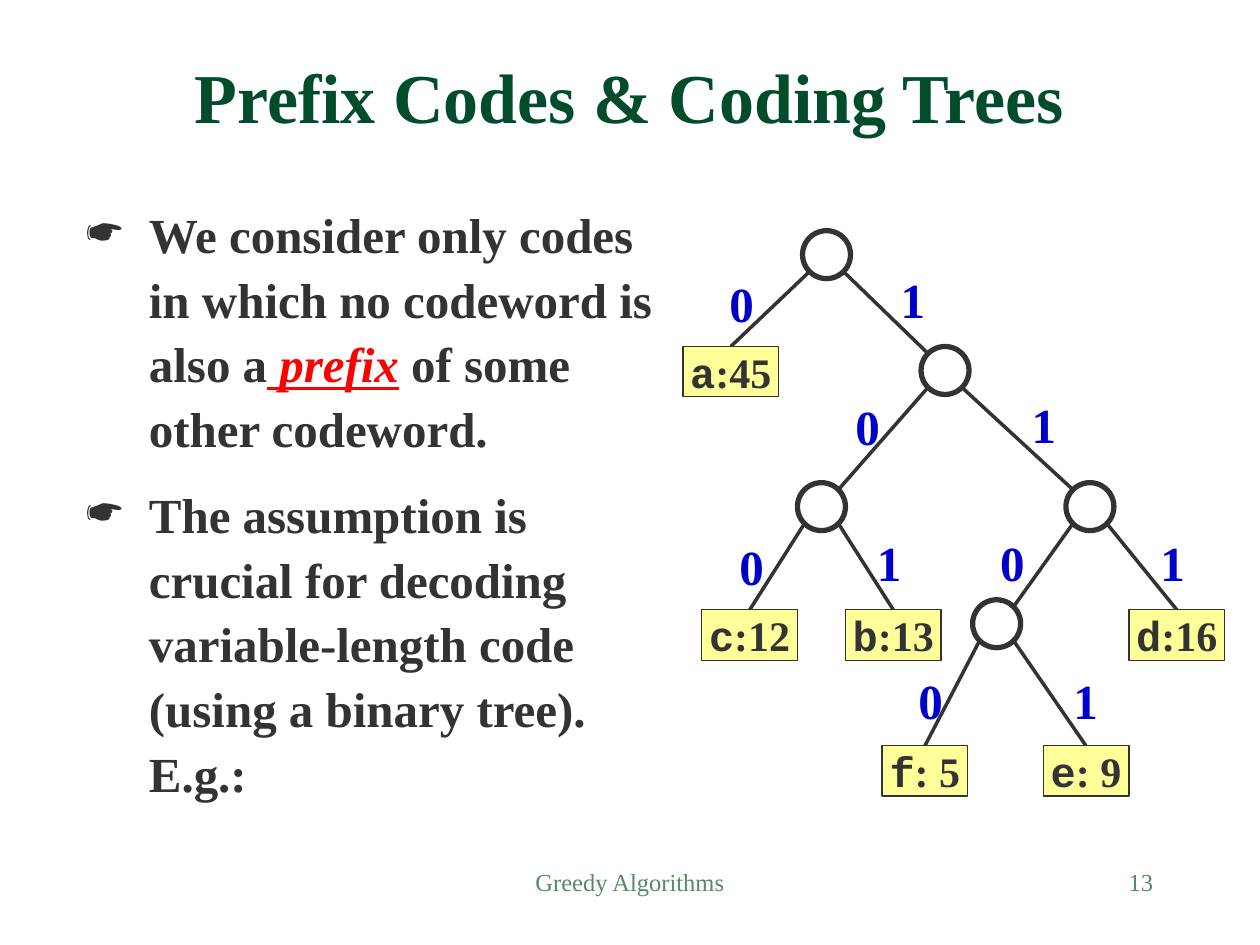
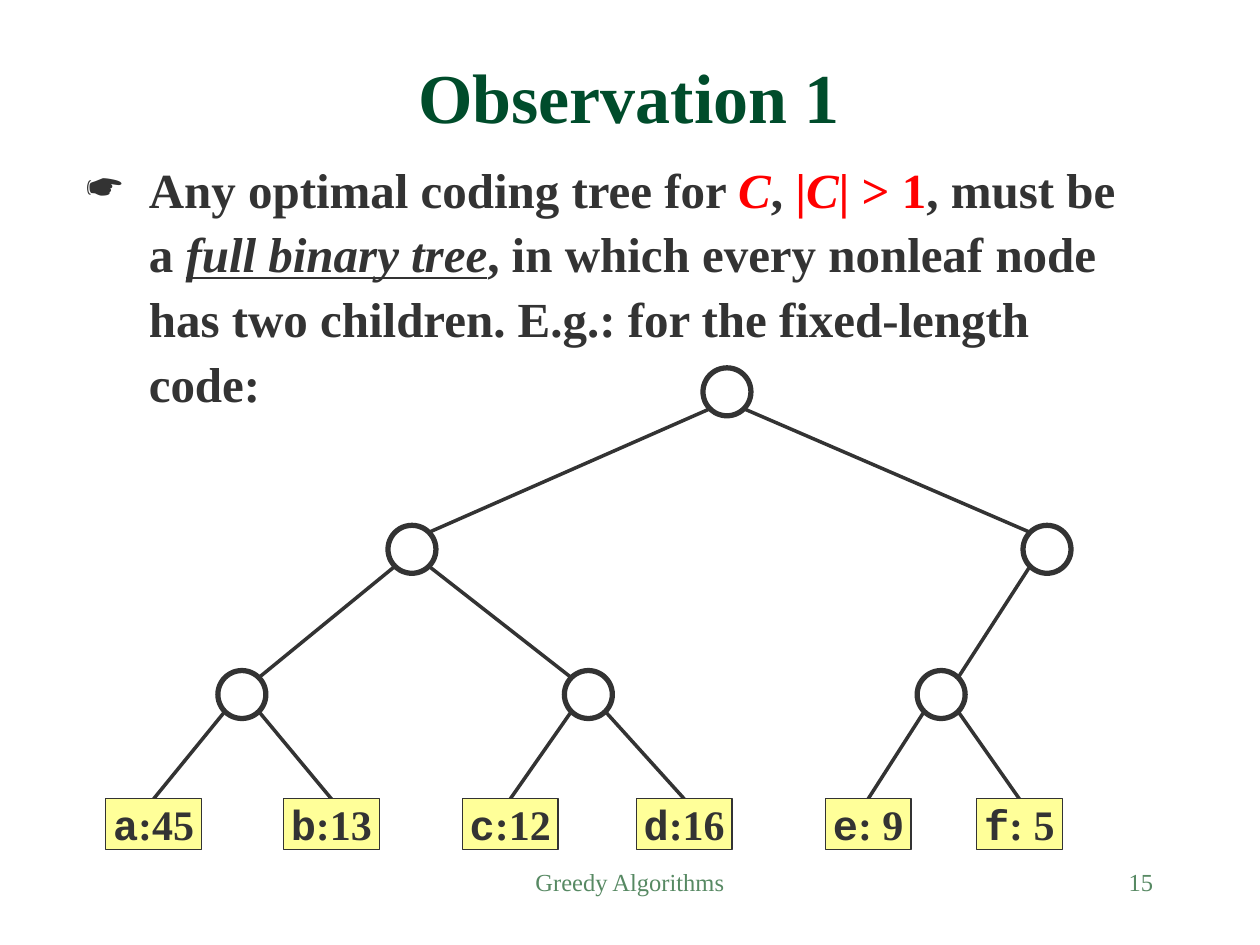
from dataclasses import dataclass

from lxml import etree
from pptx import Presentation
from pptx.dml.color import RGBColor
from pptx.enum.shapes import MSO_CONNECTOR, MSO_SHAPE
from pptx.enum.text import MSO_ANCHOR, PP_ALIGN
from pptx.oxml.ns import qn
from pptx.util import Pt

RECT, OVAL = MSO_SHAPE.RECTANGLE, MSO_SHAPE.OVAL
LINE = MSO_CONNECTOR.STRAIGHT
TOP, MID = MSO_ANCHOR.TOP, MSO_ANCHOR.MIDDLE
LEFT, CENTER, RIGHT = PP_ALIGN.LEFT, PP_ALIGN.CENTER, PP_ALIGN.RIGHT


@dataclass(frozen=True)
class Theme:
    ink: str = "333333"
    head: str = "004C2B"
    foot: str = "578963"
    red: str = "FF0000"
    blue: str = "0000CC"
    leaf: str = "FFFF99"
    paper: str = "FFFFFF"
    serif: str = "Times New Roman"
    mono: str = "Courier New"
    title: int = 40
    text: int = 28
    code: int = 24
    small: int = 14


@dataclass(frozen=True)
class Node:
    x: float
    y: float
    text: str = ""
    kids: tuple = ()
    bit: tuple = ()


T = Theme()
RING = 27.4
DIAG = RING / 2 * 0.5 ** 0.5
LEAF_W, SLIM_W, LEAF_H = 54.7, 49, 28.8
BIT_W, BIT_H = 28, 41
WIDE = (7.2, 3.6)
SLIM = (4.3, 0)

PLAIN = {}
RED = {"color": T.red}
TERM = {"color": T.red, "italic": True}
STRESS = {"italic": True, "underline": True}


def put(item, values):
    for name, value in values.items():
        setattr(item, name, value)


def style(font, size, color=T.ink, name=T.serif, bold=True, **more):
    put(font, {"size": Pt(size), "name": name, "bold": bold, **more})
    font.color.rgb = RGBColor.from_string(color)


def frame(shape, pad, wrap=True, anchor=TOP):
    side, edge = map(Pt, pad)
    text = shape.text_frame
    put(text, {
        "margin_left": side, "margin_right": side,
        "margin_top": edge, "margin_bottom": edge,
        "word_wrap": wrap, "vertical_anchor": anchor,
    })
    return text


def write(para, runs, size, align=LEFT, **base):
    para.alignment = align
    for words, look in runs:
        run = para.add_run()
        run.text = words
        style(run.font, size, **{**base, **look})


def label(slide, box, words, size, align, wrap=True, **look):
    shape = slide.shapes.add_textbox(*map(Pt, box))
    para = frame(shape, WIDE, wrap).paragraphs[0]
    write(para, [(words, PLAIN)], size, align, **look)


def solid(slide, kind, box, fill, width):
    shape = slide.shapes.add_shape(kind, *map(Pt, box))
    shape.shadow.inherit = False
    shape.fill.solid()
    shape.fill.fore_color.rgb = RGBColor.from_string(fill)
    shape.line.color.rgb = RGBColor.from_string(T.ink)
    shape.line.width = Pt(width)
    return shape


def link(slide, start, end):
    line = slide.shapes.add_connector(LINE, *map(Pt, start + end))
    line.line.color.rgb = RGBColor.from_string(T.ink)
    line.line.width = Pt(2)
    etree.SubElement(line._element.spPr, qn("a:effectLst"))


def bullet(para):
    props = para._p.get_or_add_pPr()
    props.set("marL", str(Pt(36)))
    props.set("indent", str(Pt(-36)))
    color = etree.SubElement(props, qn("a:buClr"))
    etree.SubElement(color, qn("a:srgbClr"), val=T.ink)
    etree.SubElement(props, qn("a:buChar"), char="☛")


def body(slide, box, items):
    shape = slide.shapes.add_textbox(*map(Pt, box))
    text = frame(shape, WIDE)
    for rank, runs in enumerate(items):
        para = text.add_paragraph() if rank else text.paragraphs[0]
        bullet(para)
        put(para, {"line_spacing": 1.1, "space_before": Pt(12.2 if rank else 0)})
        write(para, runs, T.text)


def leaf(slide, x, y, words):
    width = SLIM_W if " " in words else LEAF_W
    box = (x - width / 2, y, width, LEAF_H)
    shape = solid(slide, RECT, box, T.leaf, 0.75)
    para = frame(shape, SLIM, False).paragraphs[0]
    runs = [(words[0], {"name": T.mono}), (words[1:], PLAIN)]
    write(para, runs, T.code, CENTER)


def tree(slide, origin, node):
    left, top = origin
    x, y = left + node.x, top + node.y
    if node.text:
        leaf(slide, x, y, node.text)
        return
    solid(slide, OVAL, (x - RING / 2, y, RING, RING), T.paper, 3)
    for digit, kid in enumerate(node.kids):
        side = DIAG if digit else -DIAG
        end = (left + kid.x, top + kid.y)
        if not kid.text:
            end = (end[0] - side, end[1] + RING / 2 - DIAG)
        link(slide, (x + side, y + RING / 2 + DIAG), end)
        tree(slide, origin, kid)
        if kid.bit:
            box = (left + kid.bit[0] - BIT_W / 2, top + kid.bit[1], BIT_W, BIT_H)
            label(slide, box, str(digit), T.text, CENTER, False, color=T.blue)


def page(deck, title, number):
    slide = deck.slides.add_slide(deck.slide_layouts[5])
    head = slide.shapes.title
    put(head, dict(zip(("left", "top", "width", "height"),
                       map(Pt, (30, 6, 659, 73.4)))))
    para = frame(head, WIDE, anchor=MID).paragraphs[0]
    para.line_spacing = 1.5
    write(para, [(title, PLAIN)], T.title, CENTER, color=T.head)
    look = {"color": T.foot, "bold": False}
    label(slide, (246, 492, 228, 36), "Greedy Algorithms", T.small, CENTER, **look)
    label(slide, (516, 492, 150, 36), number, T.small, RIGHT, **look)
    return slide


def prefix(deck):
    slide = page(deck, "Prefix Codes & Coding Trees", "13")
    body(slide, (42, 110, 348, 352), [
        [("We consider only codes in which no codeword is also a", PLAIN),
         (" prefix", {**TERM, **STRESS}),
         (" of some other codeword.", PLAIN)],
        [("The assumption is crucial for decoding variable-length code "
          "(using a binary tree). E.g.:", PLAIN)],
    ])
    low = Node(179.5, 210.9, bit=(188.5, 169.2), kids=(
        Node(138.5, 294.4, "f: 5", bit=(141.7, 247.6)),
        Node(230.6, 294.4, "e: 9", bit=(230.3, 247.6))))
    near = Node(79.4, 144, bit=(105.7, 91.4), kids=(
        Node(38.4, 216.7, "c:12", bit=(39.5, 171.3)),
        Node(120.5, 216.7, "b:13", bit=(118, 169.2))))
    far = Node(232.8, 144, bit=(206.5, 90), kids=(
        low, Node(282.5, 216.7, "d:16", bit=(280, 169.2))))
    root = Node(82.3, 0, kids=(
        Node(27.6, 66.2, "a:45", bit=(33.7, 20.8)),
        Node(150, 66.2, bit=(131.6, 18.7), kids=(near, far))))
    tree(slide, (390, 131.8), root)


def fixed(deck):
    slide = page(deck, "Observation 1", "15")
    body(slide, (42, 84, 623, 118), [[
        ("Any optimal coding tree for ", PLAIN), ("C", TERM), (", ", PLAIN),
        ("|", RED), ("C", TERM), ("| > 1", RED), (", must be a ", PLAIN),
        ("full binary tree", STRESS),
        (", in which every nonleaf node has two children. "
         "E.g.: for the fixed-length code:", PLAIN),
    ]])
    spots = (27.8, 129.4, 231.6, 331, 436.1, 522.5)
    names = ("a:45", "b:13", "c:12", "d:16", "e: 9", "f: 5")
    ends = [Node(x, 246.3, name) for x, name in zip(spots, names)]
    pairs = [Node(x, 173, kids=tuple(ends[2 * i:2 * i + 2]))
             for i, x in enumerate((78.2, 276.2, 477.8))]
    root = Node(355.4, 0, kids=(
        Node(175.4, 90, kids=tuple(pairs[:2])),
        Node(538.3, 90, kids=tuple(pairs[2:]))))
    tree(slide, (60, 210.2), root)


def main():
    deck = Presentation()
    put(deck, {"slide_width": Pt(720), "slide_height": Pt(540)})
    prefix(deck)
    fixed(deck)
    deck.save("out.pptx")


if __name__ == "__main__":
    main()
